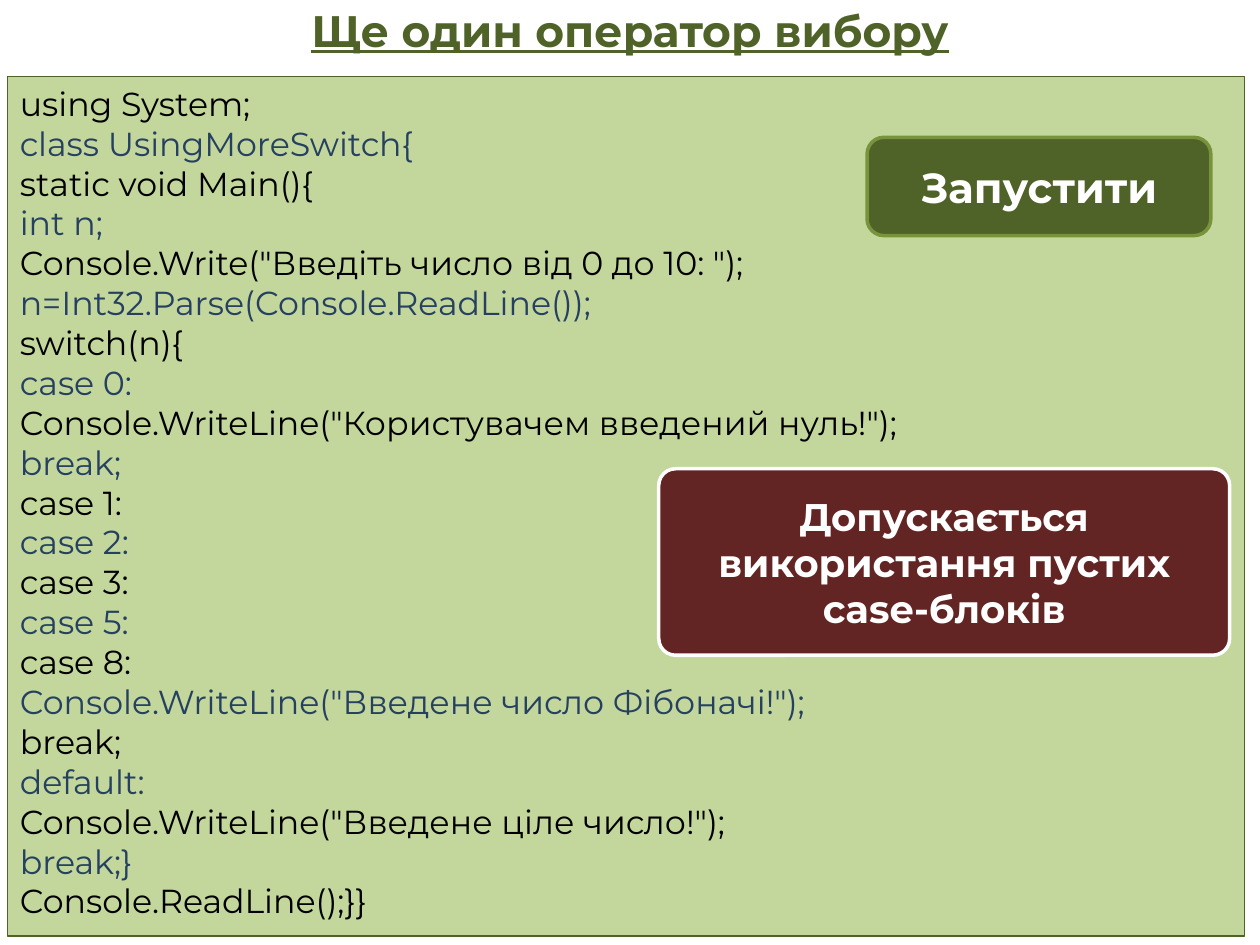
import pptx
import pptx.dml.color
import pptx.enum.shapes
import pptx.enum.text
import pptx.util
from dataclasses import dataclass

Cm = pptx.util.Cm
Shape = pptx.enum.shapes.MSO_SHAPE
Align = pptx.enum.text.PP_ALIGN
Anchor = pptx.enum.text.MSO_ANCHOR


@dataclass(frozen=True)
class Theme:
    font: str = "Montserrat"
    dark_green: str = "4F6228"
    mid_green: str = "77933C"
    pale_green: str = "C3D69B"
    maroon: str = "632523"
    navy: str = "254061"
    black: str = "000000"
    white: str = "FFFFFF"
    title_size: float = 25.2
    code_size: float = 19
    button_size: float = 24
    note_size: float = 22


CODE = """using System;
class UsingMoreSwitch{
static void Main(){
int n;
Console.Write("Введiть число вiд 0 до 10: ");
n=Int32.Parse(Console.ReadLine());
switch(n){
case 0:
Console.WriteLine("Користувачем введений нуль!");
break;
case 1:
case 2:
case 3:
case 5:
case 8:
Console.WriteLine("Введене число Фiбоначi!");
break;
default:
Console.WriteLine("Введене цiле число!");
break;}
Console.ReadLine();}}"""


def rgb(value):
    return pptx.dml.color.RGBColor.from_string(value)


def write(para, text, *, font, size, color, bold=False, underline=False, align=Align.LEFT):
    para.alignment = align
    span = para.add_run()
    span.text = text
    span.font.name = font
    span.font.size = pptx.util.Pt(size)
    span.font.color.rgb = rgb(color)
    span.font.bold = bold
    span.font.underline = underline


class SlideBuilder:
    def __init__(self, page, theme):
        self.page = page
        self.theme = theme

    def title(self, text, *place):
        box = self.page.shapes.add_textbox(*map(Cm, place))
        frame = box.text_frame
        frame.word_wrap = True
        frame.vertical_anchor = Anchor.MIDDLE
        write(frame.paragraphs[0], text, font=self.theme.font, size=self.theme.title_size,
              color=self.theme.dark_green, bold=True, underline=True, align=Align.CENTER)

    def panel(self, kind, *place, fill, line, width):
        box = self.page.shapes.add_shape(kind, *map(Cm, place))
        box.shadow.inherit = False
        box.fill.solid()
        box.fill.fore_color.rgb = rgb(fill)
        box.line.color.rgb = rgb(line)
        box.line.width = pptx.util.Pt(width)
        box.text_frame.word_wrap = True
        return box

    def code(self, text, *place):
        theme = self.theme
        box = self.panel(Shape.RECTANGLE, *place, fill=theme.pale_green,
                         line=theme.dark_green, width=0.75)
        frame = box.text_frame
        frame.vertical_anchor = Anchor.TOP
        colors = (theme.black, theme.navy)
        for index, line in enumerate(text.splitlines()):
            para = frame.add_paragraph() if index else frame.paragraphs[0]
            write(para, line, font=theme.font, size=theme.code_size, color=colors[index % 2])

    def label(self, text, *place, fill, line, size, corner):
        box = self.panel(Shape.ROUNDED_RECTANGLE, *place, fill=fill, line=line, width=2)
        box.adjustments[0] = corner
        box.text_frame.vertical_anchor = Anchor.MIDDLE
        write(box.text_frame.paragraphs[0], text, font=self.theme.font, size=size,
              color=self.theme.white, bold=True, align=Align.CENTER)


def main():
    theme = Theme()
    deck = pptx.Presentation()
    deck.slide_width, deck.slide_height = Cm(25.4), Cm(19.05)
    builder = SlideBuilder(deck.slides.add_slide(deck.slide_layouts[6]), theme)
    builder.title("Ще один оператор вибору", 0, 0, 25.4, 1.19)
    builder.code(CODE, 0.15, 1.55, 24.94, 17.32)
    builder.label("Запустити", 17.48, 2.77, 6.93, 1.98, fill=theme.dark_green,
                  line=theme.mid_green, size=theme.button_size, corner=0.17)
    builder.label("Допускається використання пустих case-блоків", 13.28, 9.45, 11.51, 3.76,
                  fill=theme.maroon, line=theme.white, size=theme.note_size, corner=0.09)
    deck.save("out.pptx")


if __name__ == "__main__":
    main()
